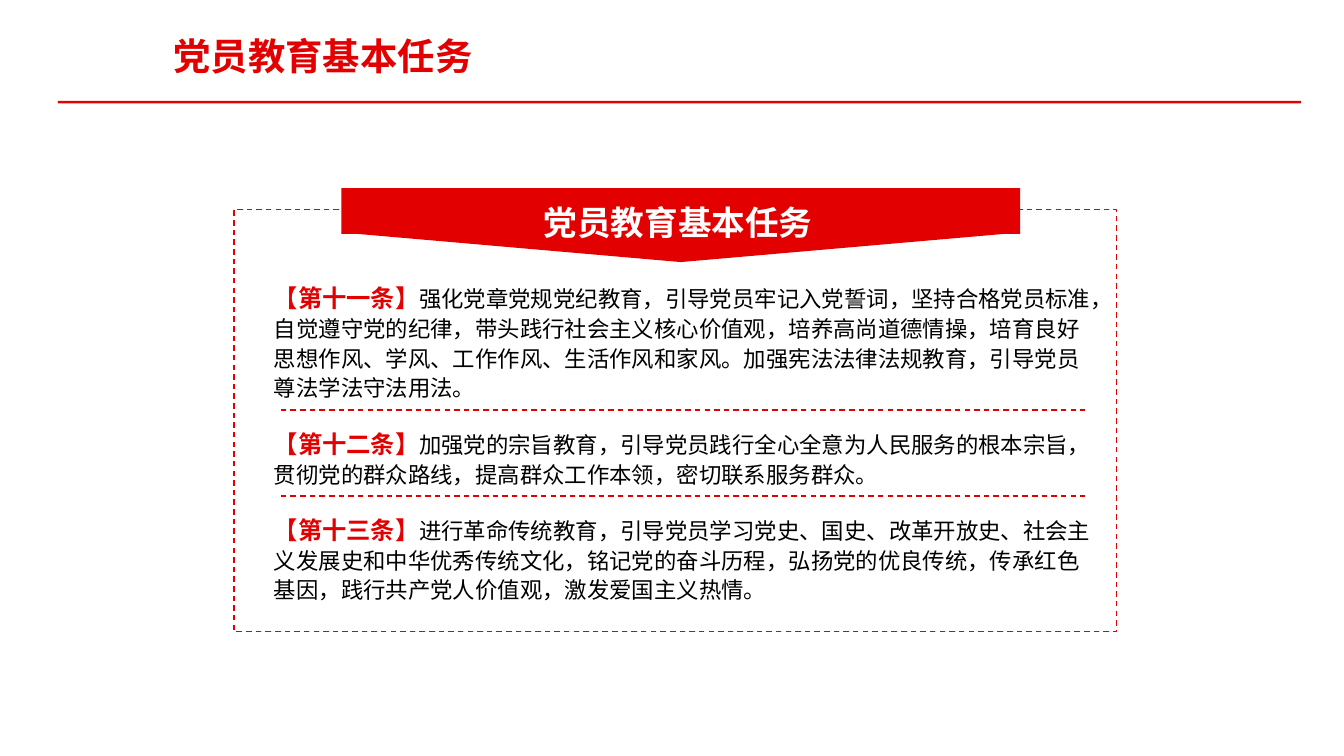
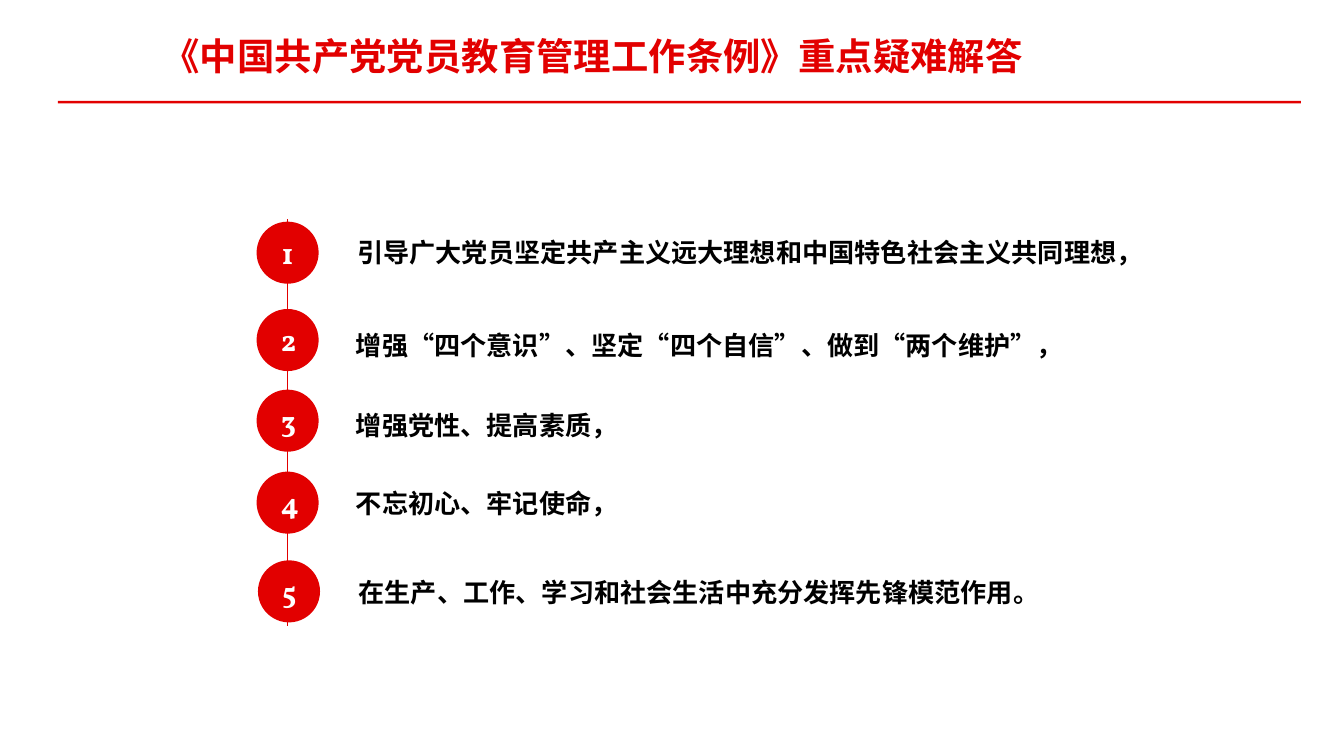
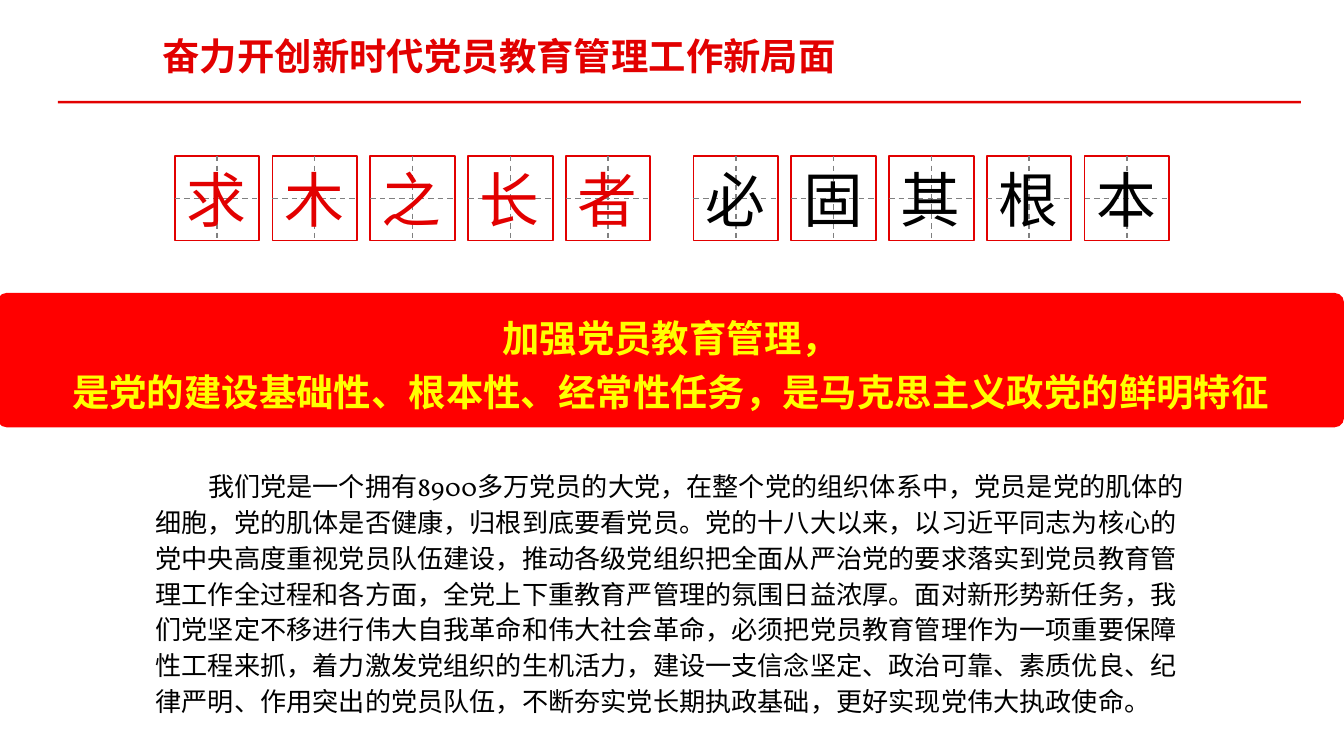
from dataclasses import dataclass
from typing import Any, NamedTuple, Optional

import pptx
import pptx.dml.color
import pptx.enum.dml
import pptx.enum.lang
import pptx.enum.shapes
import pptx.enum.text
import pptx.oxml.ns
import pptx.util
from lxml import etree

Inches = pptx.util.Inches
Pt = pptx.util.Pt
SHAPE = pptx.enum.shapes.MSO_SHAPE
CENTER = pptx.enum.text.PP_ALIGN.CENTER
DASH = pptx.enum.dml.MSO_LINE.DASH


@dataclass(frozen=True)
class Theme:
    font: str = "Vollkorn"
    red: str = "E20000"
    bright_red: str = "FF0000"
    yellow: str = "FFFF00"
    white: str = "FFFFFF"
    black: str = "000000"
    gray: str = "808080"
    title: float = 20
    banner: float = 18
    number: float = 16
    body: float = 14
    article_label: float = 13
    article: float = 12
    tile: float = 32
    thin: float = 0.75


T = Theme()


class Article(NamedTuple):
    label: str
    text: str
    top: float
    height: float


class Step(NamedTuple):
    text: str
    circle_left: float
    circle_top: float
    text_left: float
    text_top: float
    text_width: float


class TileRow(NamedTuple):
    chars: str
    left: float
    color: str


ARTICLES = [
    Article("【第十一条】", "强化党章党规党纪教育，引导党员牢记入党誓词，坚持合格党员标准，自觉遵守党的纪律，"
            "带头践行社会主义核心价值观，培养高尚道德情操，培育良好思想作风、学风、工作作风、"
            "生活作风和家风。加强宪法法律法规教育，引导党员尊法学法守法用法。", 2.04, 1),
    Article("【第十二条】", "加强党的宗旨教育，引导党员践行全心全意为人民服务的根本宗旨，"
            "贯彻党的群众路线，提高群众工作本领，密切联系服务群众。", 3.12, 0.55),
    Article("【第十三条】", "进行革命传统教育，引导党员学习党史、国史、改革开放史、社会主义发展史和"
            "中华优秀传统文化，铭记党的奋斗历程，弘扬党的优良传统，传承红色基因，"
            "践行共产党人价值观，激发爱国主义热情。", 3.76, 0.79),
]

STEPS = [
    Step("引导广大党员坚定共产主义远大理想和中国特色社会主义共同理想，", 1.93, 1.67, 2.56, 1.71, 5.91),
    Step("增强“四个意识”、坚定“四个自信”、做到“两个维护”，", 1.93, 2.32, 2.55, 2.4, 5.91),
    Step("增强党性、提高素质，", 1.93, 2.92, 2.55, 3, 4.09),
    Step("不忘初心、牢记使命，", 1.93, 3.53, 2.55, 3.58, 3.23),
    Step("在生产、工作、学习和社会生活中充分发挥先锋模范作用。", 1.94, 4.19, 2.57, 4.24, 5.43),
]

TILE_ROWS = [TileRow("求木之长者", 1.3, T.red), TileRow("必固其根本", 5.16, T.black)]
TILE_SPAN = 2.91

SLOGAN = ["加强党员教育管理，", "是党的建设基础性、根本性、经常性任务，是马克思主义政党的鲜明特征"]

ESSAY = (
    "我们党是一个拥有8900多万党员的大党，在整个党的组织体系中，党员是党的肌体的细胞，"
    "党的肌体是否健康，归根到底要看党员。党的十八大以来，以习近平同志为核心的党中央高度重视"
    "党员队伍建设，推动各级党组织把全面从严治党的要求落实到党员教育管理工作全过程和各方面，"
    "全党上下重教育严管理的氛围日益浓厚。面对新形势新任务，我们党坚定不移进行伟大自我革命和"
    "伟大社会革命，必须把党员教育管理作为一项重要保障性工程来抓，着力激发党组织的生机活力，"
    "建设一支信念坚定、政治可靠、素质优良、纪律严明、作用突出的党员队伍，"
    "不断夯实党长期执政基础，更好实现党伟大执政使命。"
)


def rgb(color: str) -> pptx.dml.color.RGBColor:
    return pptx.dml.color.RGBColor.from_string(color)


def write(p: Any, text: str, *, size: float, color: str, bold: bool = False,
          align: Any = None, spacing: Optional[float] = None) -> None:
    """Add a formatted run to a paragraph."""
    if align is not None:
        p.alignment = align
    if spacing is not None:
        p.line_spacing = spacing
    r = p.add_run()
    r.text = text
    r.font.name = T.font
    r.font.size = Pt(size)
    r.font.bold = bold
    r.font.color.rgb = rgb(color)
    r.font.language_id = pptx.enum.lang.MSO_LANGUAGE_ID.SIMPLIFIED_CHINESE


def add_box(shapes: Any, left: float, top: float, width: float, height: float,
            tight: bool = False, grow: bool = True) -> Any:
    """Add a wrapping text box and return its first paragraph."""
    tf = shapes.add_textbox(Inches(left), Inches(top), Inches(width), Inches(height)).text_frame
    tf.word_wrap = True
    if grow:
        tf.auto_size = pptx.enum.text.MSO_AUTO_SIZE.SHAPE_TO_FIT_TEXT
    if tight:
        tf.margin_left = tf.margin_right = Inches(0.07)
        tf.margin_top = tf.margin_bottom = Inches(0.04)
    return tf.paragraphs[0]


def style_line(line: Any, color: str, width: float, dashed: bool = False) -> None:
    line.color.rgb = rgb(color)
    line.width = Pt(width)
    if dashed:
        line.dash_style = DASH


def add_shape(shapes: Any, kind: Any, left: float, top: float, width: float, height: float,
              fill: Optional[str] = None, line: Optional[str] = None,
              line_width: float = T.thin, dashed: bool = False) -> Any:
    sp = shapes.add_shape(kind, Inches(left), Inches(top), Inches(width), Inches(height))
    sp.shadow.inherit = False
    if fill:
        sp.fill.solid()
        sp.fill.fore_color.rgb = rgb(fill)
    else:
        sp.fill.background()
    if line:
        style_line(sp.line, line, line_width, dashed)
    else:
        sp.line.fill.background()
    return sp


def add_line(shapes: Any, x1: float, y1: float, x2: float, y2: float,
             color: str, dashed: bool = False) -> None:
    cx = shapes.add_connector(pptx.enum.shapes.MSO_CONNECTOR.STRAIGHT,
                              Inches(x1), Inches(y1), Inches(x2), Inches(y2))
    style_line(cx.line, color, T.thin, dashed)
    etree.SubElement(cx._element.spPr, pptx.oxml.ns.qn("a:effectLst"))


def add_slide(prs: Any, title: str, left: float = 1.14, width: float = 6.77) -> Any:
    """Add a blank slide with the red rule and the title; return its shapes."""
    shapes = prs.slides.add_slide(prs.slide_layouts[6]).shapes
    add_shape(shapes, SHAPE.RECTANGLE, 0.43, 0.75, 9.25, 0.02, T.red)
    p = add_box(shapes, left, 0.21, width, 0.41, tight=True)
    write(p, title, size=T.title, color=T.red, bold=True)
    return shapes


def build_tasks(prs: Any) -> None:
    heading = "党员教育基本任务"
    shapes = add_slide(prs, heading, 1.22, 3.44)
    add_shape(shapes, SHAPE.RECTANGLE, 1.74, 1.56, 6.57, 3.14, T.white, T.red, dashed=True)

    ribbon = shapes.add_group_shape().shapes
    add_shape(ribbon, SHAPE.RECTANGLE, 2.54, 1.4, 5.05, 0.34, T.red)
    tip = add_shape(ribbon, SHAPE.ISOSCELES_TRIANGLE, 2.54, 1.73, 5.05, 0.22, T.red)
    tip.rotation = 180
    p = add_box(shapes, 2.72, 1.4, 4.65, 0.41, tight=True)
    write(p, heading, size=T.banner, color=T.white, bold=True, align=CENTER, spacing=1.2)

    for i, article in enumerate(ARTICLES):
        p = add_box(shapes, 1.94, article.top, 6.31, article.height)
        write(p, article.label, size=T.article_label, color=T.red, bold=True, spacing=1.1)
        write(p, article.text, size=T.article, color=T.black)
        if i > 0:
            y = article.top - 0.07
            add_line(shapes, 2.09, y, 8.07, y, T.red, dashed=True)


def build_answers(prs: Any) -> None:
    shapes = add_slide(prs, "《中国共产党党员教育管理工作条例》重点疑难解答")
    add_line(shapes, 2.14, 1.63, 2.14, 4.66, T.red)
    for number, step in enumerate(STEPS, 1):
        circle = add_shape(shapes, SHAPE.OVAL, step.circle_left, step.circle_top, 0.42, 0.42,
                           T.red, T.red, line_width=3)
        write(circle.text_frame.paragraphs[0], str(number), size=T.number, color=T.white,
              bold=True, align=CENTER)
        p = add_box(shapes, step.text_left, step.text_top, step.text_width, 0.34, grow=False)
        write(p, step.text, size=T.body, color=T.black, bold=True)


def add_tile(shapes: Any, char: str, left: float, color: str) -> None:
    """Draw one practice square with its centre lines and character."""
    top, side = 1.16, 0.63
    mid_x, mid_y = left + side / 2, top + side / 2
    add_shape(shapes, SHAPE.RECTANGLE, left, top, side, side, line=T.red, line_width=1)
    add_line(shapes, mid_x, top, mid_x, top + side, T.gray, dashed=True)
    add_line(shapes, left, mid_y, left + side, mid_y, T.gray, dashed=True)
    p = add_box(shapes, left + 0.01, top + 0.01, 0.6, 0.61, tight=True)
    write(p, char, size=T.tile, color=color, align=CENTER)


def build_outlook(prs: Any) -> None:
    shapes = add_slide(prs, "奋力开创新时代党员教育管理工作新局面")
    for row in TILE_ROWS:
        group = shapes.add_group_shape().shapes
        pitch = TILE_SPAN / (len(row.chars) - 1)
        for i, char in enumerate(row.chars):
            add_tile(group, char, row.left + i * pitch, row.color)

    band = add_shape(shapes, SHAPE.ROUNDED_RECTANGLE, -0.02, 2.18, 10.02, 1, T.bright_red)
    band.adjustments[0] = 0.07
    tf = band.text_frame
    tf.word_wrap = True
    for i, line in enumerate(SLOGAN):
        p = tf.add_paragraph() if i else tf.paragraphs[0]
        write(p, line, size=T.title, color=T.yellow, bold=True, align=CENTER, spacing=1.2)

    p = add_box(shapes, 1.06, 3.42, 7.87, 1.96)
    p._p.get_or_add_pPr().set("indent", str(Inches(0.39)))
    write(p, ESSAY, size=T.body, color=T.black, spacing=1.14)


def main() -> None:
    prs = pptx.Presentation()
    prs.slide_width = Inches(10)
    prs.slide_height = Inches(10 * 9 / 16)
    build_tasks(prs)
    build_answers(prs)
    build_outlook(prs)
    prs.save("out.pptx")


if __name__ == "__main__":
    main()
